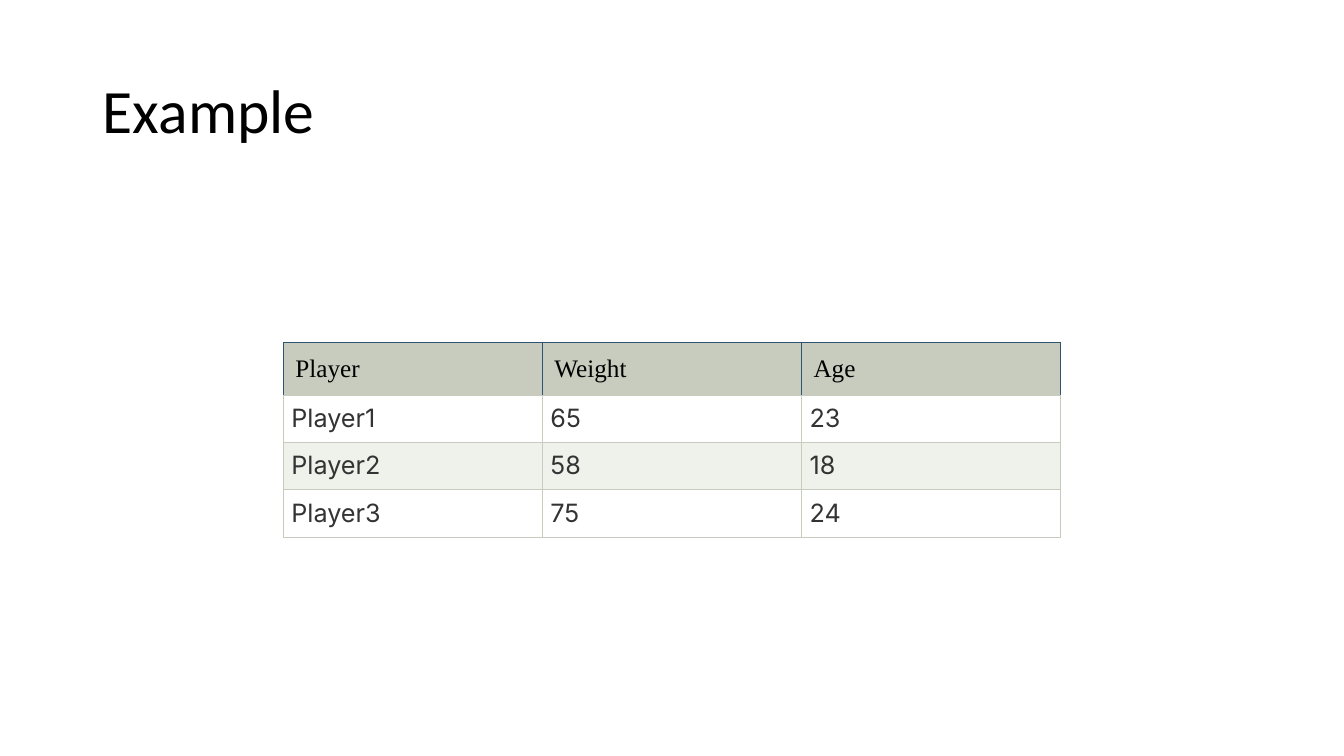
"""Build a slide with a title and a small table of players."""
from lxml import etree
from pptx import Presentation
from pptx.dml.color import RGBColor
from pptx.enum.text import MSO_ANCHOR, PP_ALIGN
from pptx.oxml.ns import qn
from pptx.util import Inches, Pt

LEFT, JUST = PP_ALIGN.LEFT, PP_ALIGN.JUSTIFY
TOP, MIDDLE = MSO_ANCHOR.TOP, MSO_ANCHOR.MIDDLE
BLACK = RGBColor(0x00, 0x00, 0x00)
GREY = RGBColor(0x33, 0x33, 0x33)
WHITE = RGBColor(0xFF, 0xFF, 0xFF)
SAGE = RGBColor(0xC7, 0xCC, 0xBE)
PALE = RGBColor(0xEF, 0xF1, 0xEB)
BLUE = RGBColor(0x30, 0x53, 0x71)


def write(frame, text, font, size=18, color=BLACK, align=LEFT, space=1.0):
    para = frame.paragraphs[0]
    para.alignment = align
    para.line_spacing = space
    run = para.add_run()
    run.text = text
    run.font.name = font
    run.font.size = Pt(size)
    run.font.color.rgb = color


def border(cell, colors):
    props = cell._tc.get_or_add_tcPr()
    for i, (side, color) in enumerate(zip("LRTB", colors)):
        line = etree.Element(qn(f"a:ln{side}"), w=str(Pt(0.75)))
        fill = etree.SubElement(line, qn("a:solidFill"))
        etree.SubElement(fill, qn("a:srgbClr"), val=str(color))
        props.insert(i, line)


deck = Presentation()
deck.slide_width, deck.slide_height = Inches(13.33), Inches(7.5)
slide = deck.slides.add_slide(deck.slide_layouts[5])

title = slide.shapes.title
title.left, title.top = Inches(0.92), Inches(0.4)
title.width, title.height = Inches(11.5), Inches(1.45)
title.text_frame.vertical_anchor = MIDDLE
write(title.text_frame, "Example", "Calibri", size=44, space=0.9)

rows = [
    ("Player", "Weight", "Age"),
    ("Player1", "65", "23"),
    ("Player2", "58", "18"),
    ("Player3", "75", "24"),
]
frame = slide.shapes.add_table(
    len(rows), 3, Inches(2.81), Inches(3.4), Inches(7.71), Inches(1.95))
table = frame.table
table.horz_banding = False

for r, row in enumerate(rows):
    head = r == 0
    table.rows[r].height = Inches(0.52 if head else 0.47)
    for c, text in enumerate(row):
        cell = table.cell(r, c)
        pad = Inches(0.12 if head else 0.08)
        cell.margin_left = cell.margin_right = pad
        cell.margin_top = cell.margin_bottom = pad
        cell.vertical_anchor = TOP
        cell.fill.solid()
        if head:
            cell.fill.fore_color.rgb = SAGE
            border(cell, [BLUE, BLUE, BLUE, SAGE])
            write(cell.text_frame, text, "Times New Roman")
        else:
            cell.fill.fore_color.rgb = WHITE if r % 2 else PALE
            border(cell, [SAGE] * 4)
            write(cell.text_frame, text, "Inter", color=GREY, align=JUST)

deck.save("out.pptx")
